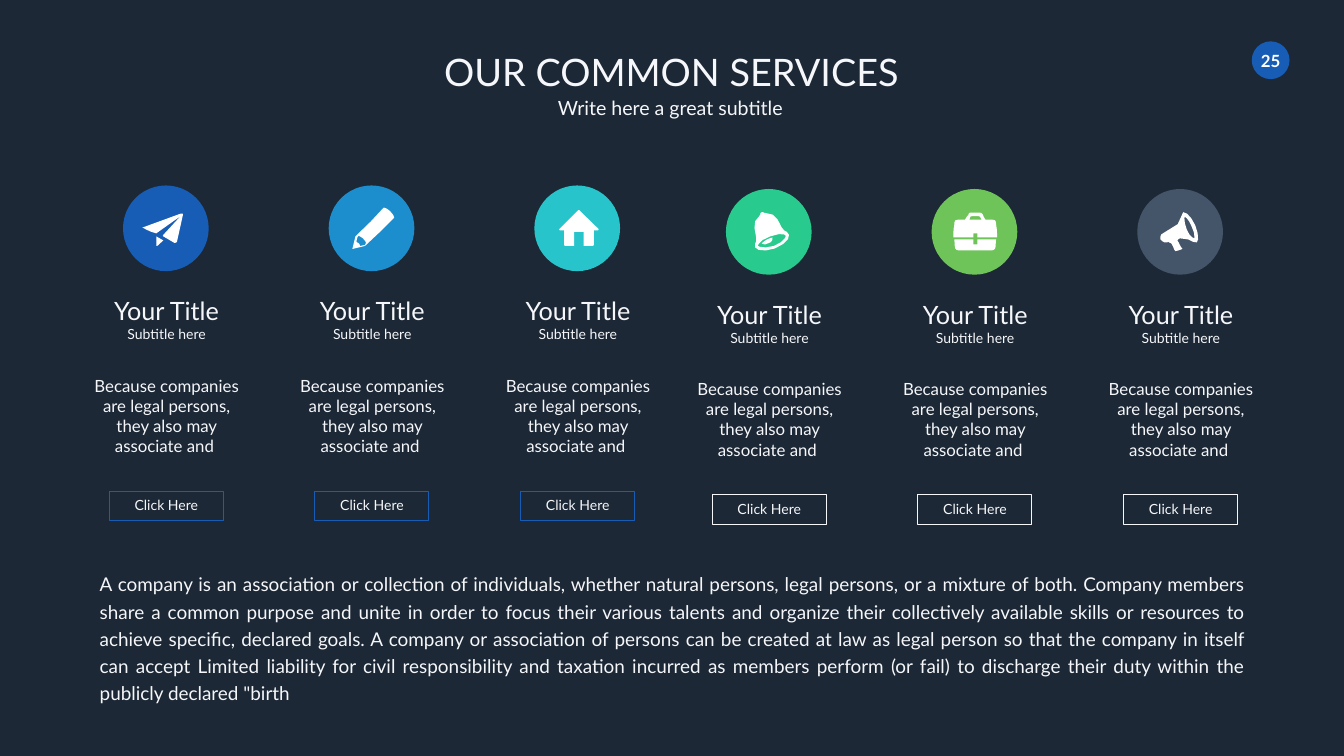
from pptx import Presentation
from pptx.dml.color import RGBColor
from pptx.enum.shapes import MSO_SHAPE
from pptx.enum.text import MSO_ANCHOR, MSO_AUTO_SIZE, PP_ALIGN
from pptx.util import Inches, Pt

COLORS = {
    "night": "1C2835", "text": "F6F7FA", "white": "FFFFFF", "blue": "175CB5",
    "sky": "1C8DCD", "teal": "27C5CB", "green": "28CB8D", "lime": "6FC459", "slate": "445469",
}

# Icon outlines in hundredths of an inch from the corner of their circle.
# Two numbers are a straight step, six numbers a Bezier curve.
PLANE = [
    [(116, 56), (114, 56), (40, 83), (38, 83, 38, 84, 40, 84), (42, 86, 56, 92, 56, 92),
     (66, 95), (114, 61), (80, 98), (79, 100), (80, 101), (102, 114),
     (103, 114, 105, 114, 107, 112), (119, 58), (119, 56, 118, 55, 116, 56)],
    [(66, 118), (66, 120, 66, 120, 68, 120), (80, 109), (66, 101)],
]
PENCIL = [
    [(122, 51), (115, 44, 109, 44, 109, 44), (83, 72), (53, 101), (47, 126), (72, 120),
     (104, 90), (130, 64), (130, 64, 130, 59, 122, 51)],
    [(72, 118), (62, 120), (62, 118, 61, 116, 59, 114), (57, 113, 55, 113, 55, 111), (57, 103),
     (59, 100), (59, 100, 62, 100, 68, 105), (74, 111, 74, 114, 74, 114)],
]
HOUSE = [
    [(127, 86), (91, 51), (90, 48, 87, 48, 85, 51), (50, 86), (48, 87, 50, 89, 51, 89), (59, 89),
     (59, 117), (59, 118, 59, 120, 62, 120), (79, 120), (79, 92), (98, 92), (98, 120), (115, 120),
     (118, 120, 118, 118, 118, 117), (118, 89), (126, 89), (127, 89, 128, 87, 127, 86)],
]
BELL = [
    [(111, 77), (102, 56, 95, 48, 80, 48), (74, 48, 75, 45, 71, 46), (66, 48, 71, 49, 66, 54),
     (54, 63, 55, 74, 60, 96), (63, 105, 55, 107, 58, 116), (60, 122, 78, 125, 97, 118),
     (116, 111, 128, 97, 125, 91), (122, 82, 116, 86, 111, 77)],
    [(95, 113), (78, 119, 64, 114, 63, 113), (63, 111, 69, 100, 88, 94),
     (108, 86, 119, 90, 119, 93), (120, 94, 113, 107, 95, 113)],
    [(89, 97), (80, 100, 75, 104, 71, 108), (74, 110, 78, 111, 83, 108),
     (91, 107, 94, 100, 92, 96), (92, 96, 91, 97, 89, 97)],
]
BRIEFCASE = [
    [(83, 88), (91, 88), (91, 96), (130, 96), (130, 96, 130, 77, 128, 71),
     (128, 64, 127, 61, 121, 61), (107, 61), (104, 57, 102, 52, 102, 52),
     (101, 49, 99, 47, 96, 47), (77, 47), (74, 47, 73, 49, 73, 52), (71, 52, 69, 57, 66, 61),
     (52, 61), (46, 61, 45, 64, 45, 71), (43, 77, 43, 96, 43, 96), (83, 96)],
    [(76, 57), (77, 55, 77, 54, 80, 54), (93, 54), (96, 54, 96, 55, 97, 57),
     (97, 57, 99, 60, 99, 61), (74, 61), (76, 60, 76, 57, 76, 57)],
    [(91, 110), (83, 110), (83, 100), (45, 100), (45, 100, 46, 108, 46, 114),
     (46, 117, 48, 122, 54, 122), (119, 122), (125, 122, 127, 117, 127, 114),
     (127, 108, 128, 100, 128, 100), (91, 100)],
]
MEGAPHONE = [
    [(115, 72), (108, 57, 98, 45, 91, 46), (82, 51, 98, 69, 51, 88), (46, 89, 45, 95, 46, 100),
     (48, 103, 54, 108, 59, 106), (62, 105), (65, 109, 68, 106, 68, 109),
     (70, 112, 73, 118, 73, 120), (74, 121, 76, 125, 77, 123), (79, 123, 85, 121, 87, 120),
     (90, 120, 90, 118, 88, 117), (88, 115, 85, 114, 85, 112), (84, 111, 82, 105, 80, 103),
     (79, 102, 82, 98, 85, 98), (107, 97, 110, 109, 118, 106), (122, 105, 122, 88, 115, 72)],
    [(113, 98), (111, 98, 102, 92, 98, 80), (93, 68, 93, 55, 94, 55),
     (96, 55, 104, 63, 108, 75), (115, 88, 113, 97, 113, 98)],
]
# Circle colour, icon, button line colour
SERVICES = [
    ("blue", PLANE, "blue"), ("sky", PENCIL, "blue"), ("teal", HOUSE, "blue"),
    ("green", BELL, "text"), ("lime", BRIEFCASE, "text"), ("slate", MEGAPHONE, "text"),
]
COMPANY_TEXT = (
    "A company is an association or collection of individuals, whether natural persons, legal "
    "persons, or a mixture of both. Company members share a common purpose and unite in order to "
    "focus their various talents and organize their collectively available skills or resources "
    "to achieve specific, declared goals. A company or association of persons can be created at "
    "law as legal person so that the company in itself can accept Limited liability for civil "
    "responsibility and taxation incurred as members perform (or fail) to discharge their duty "
    "within the publicly declared \"birth"
)


def rgb(name):
    return RGBColor.from_string(COLORS[name])


def paint(shape, fill=None, line=None):
    shape.shadow.inherit = False
    if fill:
        shape.fill.solid()
        shape.fill.fore_color.rgb = rgb(fill)
    else:
        shape.fill.background()
    if line:
        shape.line.color.rgb = rgb(line)
        shape.line.width = Pt(0.5)
    else:
        shape.line.fill.background()


def add_preset(page, kind, box, fill=None, line=None):
    paint(page.shapes.add_shape(kind, *map(Inches, box)), fill, line)


def add_text(page, box, lines, insets=(0.27, 0.13), align=PP_ALIGN.CENTER, anchor=MSO_ANCHOR.TOP,
             wrap=True, color="text", bold=False, spacing=None):
    """Write lines of (text, size, space before in points) into one text box."""
    frame = page.shapes.add_textbox(*map(Inches, box)).text_frame
    frame.word_wrap = wrap
    frame.auto_size = MSO_AUTO_SIZE.SHAPE_TO_FIT_TEXT
    frame.vertical_anchor = anchor
    frame.margin_left = frame.margin_right = Inches(insets[0])
    frame.margin_top = frame.margin_bottom = Inches(insets[1])
    for index, (text, size, before) in enumerate(lines):
        para = frame.add_paragraph() if index else frame.paragraphs[0]
        para.alignment = align
        if before:
            para.space_before = Pt(before)
        if spacing:
            para.line_spacing = spacing
        span = para.add_run()
        span.text = text
        span.font.name = "Lato"
        span.font.size = Pt(size)
        span.font.bold = bold
        span.font.color.rgb = rgb(color)


def flatten(contour, steps=3):
    """Turn straight steps and Bezier curves into a list of points."""
    points = [contour[0]]
    for part in contour[1:]:
        if len(part) == 2:
            points.append(part)
            continue
        corners = [points[-1], part[:2], part[2:4], part[4:]]
        for step in range(1, steps + 1):
            t = step / steps
            weights = ((1 - t) ** 3, 3 * t * (1 - t) ** 2, 3 * t * t * (1 - t), t ** 3)
            points.append(tuple(sum(w * corner[axis] for w, corner in zip(weights, corners))
                                for axis in (0, 1)))
    return points


def add_icon(page, left, top, contours):
    builder = None
    for contour in contours:
        points = [(Inches(left + x / 100), Inches(top + y / 100)) for x, y in flatten(contour)]
        if builder is None:
            builder = page.shapes.build_freeform(*points[0])
        else:
            builder.move_to(*points[0])
        builder.add_line_segments(points[1:], close=True)
    paint(builder.convert_to_shape(), "white")


def add_service(page, left, top, color, icon, button_line):
    add_preset(page, MSO_SHAPE.OVAL, (left + 0.92, top, 1.7, 1.7), color)
    add_text(page, (left, top + 2.05, 3.57, 3.48), [
        ("Your Title", 36, 0), ("Subtitle here", 20, 0),
        ("Because companies are legal persons, they also may associate and ", 24, 47)])
    add_preset(page, MSO_SHAPE.RECTANGLE, (left + 0.64, top + 6.06, 2.26, 0.59), line=button_line)
    add_text(page, (left + 0.88, top + 6.04, 1.8, 0.61), [("Click Here", 20, 0)],
             insets=(0.2, 0.13), anchor=MSO_ANCHOR.MIDDLE, wrap=False)
    add_icon(page, left + 0.92, top, icon)


def add_services(page, left, top):
    """Place two groups of three services, the second one slightly lower."""
    for index, service in enumerate(SERVICES):
        group, column = divmod(index, 3)
        add_service(page, left + 11.96 * group + 4.08 * column, top + 0.07 * group, *service)


def add_page_number(page, left, top, size):
    add_preset(page, MSO_SHAPE.OVAL, (left, top, size, size), "blue")
    add_text(page, (left - 0.03, top + 0.08, size + 0.06, 0.61), [("25", 24, 0)],
             insets=(0.2, 0.1), wrap=False, color="white", bold=True)


def add_heading(page, center, top):
    add_text(page, (center - 7.56, top, 15.12, 1.18), [("OUR COMMON SERVICES", 54, 0)],
             anchor=MSO_ANCHOR.MIDDLE)
    add_text(page, (center - 5.14, top + 0.93, 10.33, 0.74),
             [("Write here a great subtitle ", 28, 0)], anchor=MSO_ANCHOR.MIDDLE)


def main():
    deck = Presentation()
    deck.slide_width, deck.slide_height = Inches(26.66), Inches(15)
    page = deck.slides.add_slide(deck.slide_layouts[6])
    page.background.fill.solid()
    page.background.fill.fore_color.rgb = rgb("night")
    add_page_number(page, 24.83, 0.82, 0.75)
    add_services(page, 1.52, 3.68)
    add_text(page, (1.88, 11.23, 22.9, 2.27), [(COMPANY_TEXT, 27, 0)], insets=(0.1, 0.05),
             align=PP_ALIGN.JUSTIFY, spacing=1.2)
    add_heading(page, 13.32, 0.83)
    deck.save("out.pptx")


if __name__ == "__main__":
    main()
